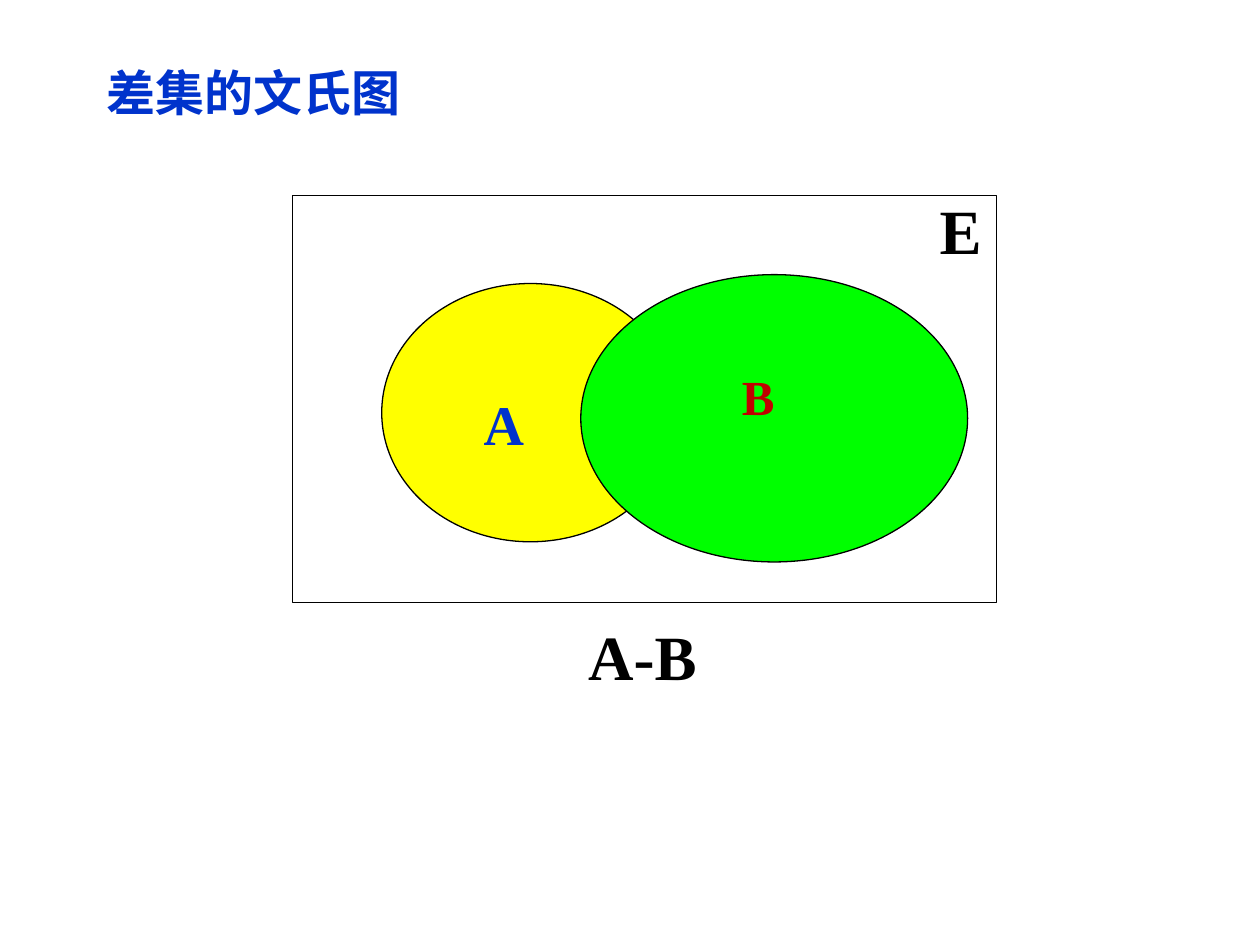
from pptx import Presentation
from pptx.util import Inches, Pt
from pptx.dml.color import RGBColor
from pptx.enum.shapes import MSO_SHAPE as Shape
from pptx.enum.text import MSO_ANCHOR as Anchor
from lxml.etree import SubElement
from pptx.oxml.ns import qn

BLACK = RGBColor(0, 0, 0)
BLUE = RGBColor(0x00, 0x33, 0xCC)
RED = RGBColor(0xC0, 0x00, 0x00)
YELLOW = RGBColor(0xFF, 0xFF, 0x00)
GREEN = RGBColor(0x00, 0xFF, 0x00)
SERIF = "Times New Roman"
HAN = "Noto Sans CJK SC"

deck = Presentation()
deck.slide_width, deck.slide_height = Inches(10), Inches(7.5)
slide = deck.slides.add_slide(deck.slide_layouts[6])


def add_text(text, box, size, color, face=SERIF):
    label = slide.shapes.add_textbox(*map(Inches, box))
    frame = label.text_frame
    frame.word_wrap = False
    para = frame.paragraphs[0]
    run = para.add_run()
    run.text = text
    font = para.font if face == SERIF else run.font
    font.name, font.size, font.bold = face, Pt(size), True
    font.color.rgb = color
    return frame


title = add_text("差集的文氏图", (0.75, 0.21, 2.91, 1.09), 28, BLUE, HAN)
title.word_wrap = True
title.vertical_anchor = Anchor.MIDDLE
title.paragraphs[0].line_spacing = 0.9
props = title.paragraphs[0].runs[0].font._element
SubElement(props, qn("a:ea")).set("typeface", HAN)

for kind, box, color in [
    (Shape.RECTANGLE, (2.32, 1.55, 5.59, 3.23), None),
    (Shape.OVAL, (3.03, 2.25, 2.36, 2.05), YELLOW),
    (Shape.OVAL, (4.61, 2.18, 3.07, 2.28), GREEN),
]:
    area = slide.shapes.add_shape(kind, *map(Inches, box))
    area.shadow.inherit = False
    area.line.color.rgb = BLACK
    area.line.width = Pt(0.75)
    if color is None:
        area.fill.background()
    else:
        area.fill.solid()
        area.fill.fore_color.rgb = color

for text, box, size, color in [
    ("A-B", (4.57, 4.85, 1.06, 0.7), 36, BLACK),
    ("E", (7.36, 1.47, 0.53, 0.7), 36, BLACK),
    ("A", (3.74, 3.04, 0.52, 0.63), 32, BLUE),
    ("B", (5.79, 2.86, 0.46, 0.57), 28, RED),
]:
    add_text(text, box, size, color)

deck.save("out.pptx")
